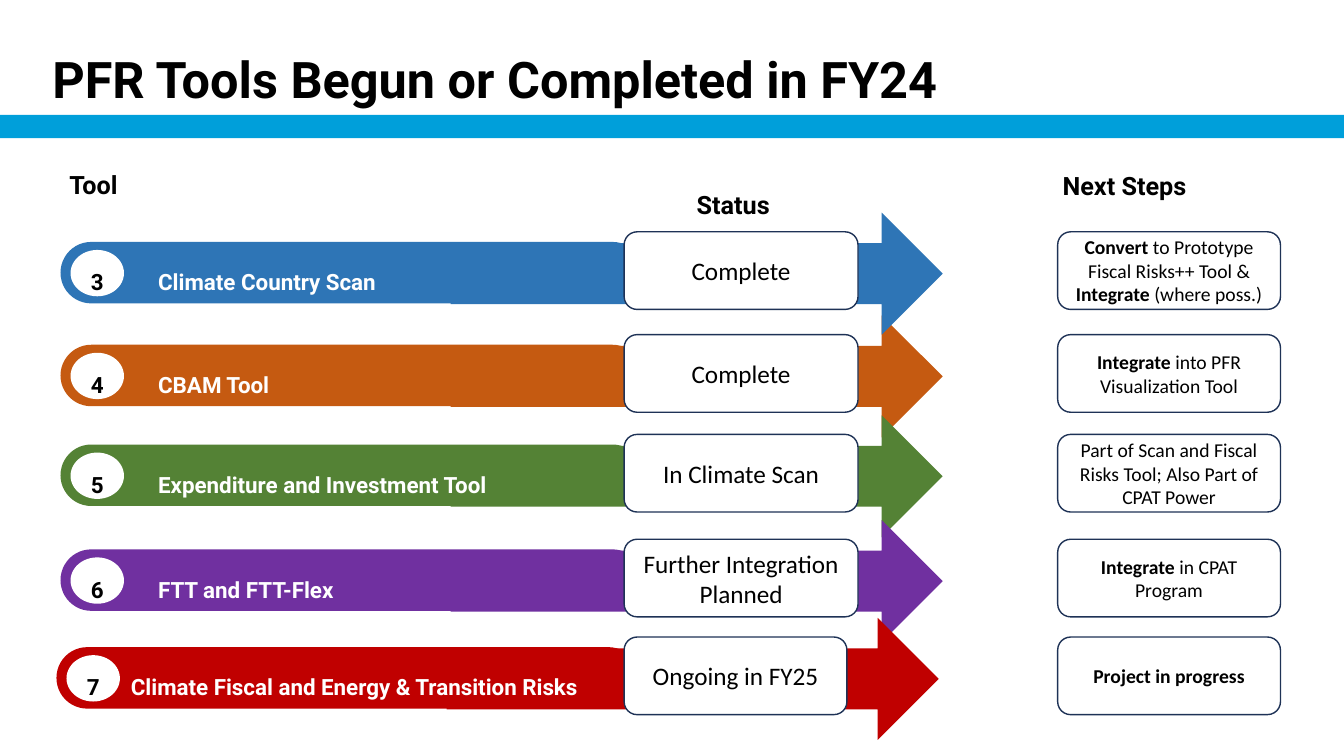
from dataclasses import dataclass

from pptx import Presentation
from pptx.dml.color import RGBColor
from pptx.enum.shapes import MSO_SHAPE
from pptx.enum.text import MSO_ANCHOR, PP_ALIGN
from pptx.util import Pt

PX = 9144


@dataclass(frozen=True)
class Theme:
    heading_font: str = "Roboto"
    box_font: str = "Calibri"
    black: str = "000000"
    white: str = "FFFFFF"
    band: str = "009FDA"
    outline: str = "1E3256"
    title_size: int = 36
    heading_size: int = 18
    tool_size: int = 16
    step_size: int = 14


@dataclass(frozen=True)
class Tool:
    number: str
    name: str
    color: str
    top: int
    status: str
    steps: tuple
    shift: int = 0
    name_left: int = 147
    status_width: int = 232


THEME = Theme()
TOOLS = [
    Tool("3", "Climate Country Scan", "2E75B6", 240, "Complete",
         (("Convert", True), (" to Prototype Fiscal Risks++ Tool & ", False),
          ("Integrate ", True), ("(where poss.)", False))),
    Tool("4", "CBAM Tool", "C55A11", 342, "Complete",
         (("Integrate", True), (" into PFR Visualization Tool", False))),
    Tool("5", "Expenditure and Investment Tool", "548235", 441, "In Climate Scan",
         (("Part of Scan and Fiscal Risks Tool; Also Part of CPAT Power", False),)),
    Tool("6", "FTT and FTT-Flex", "7030A0", 545, "Further Integration Planned",
         (("Integrate", True), (" in CPAT Program", False))),
    Tool("7", "Climate Fiscal and Energy & Transition Risks", "C00000", 642,
         "Ongoing in FY25", (("Project in progress", True),),
         shift=-4, name_left=120, status_width=221),
]


def to_emu(*lengths):
    return [length * PX for length in lengths]


def apply_format(target, values):
    for name, value in values.items():
        setattr(target, name, value)


def write_runs(paragraph, runs, font_name, size, color):
    for text, bold in runs:
        run = paragraph.add_run()
        run.text = text
        apply_format(run.font, {"name": font_name, "size": Pt(size), "bold": bold})
        run.font.color.rgb = RGBColor.from_string(color)


def add_solid(slide, kind, box, color):
    shape = slide.shapes.add_shape(kind, *to_emu(*box))
    shape.shadow.inherit = False
    shape.fill.solid()
    shape.fill.fore_color.rgb = RGBColor.from_string(color)
    shape.line.fill.background()
    return shape


def add_heading(slide, box, text, size, color=THEME.black, spacing=1.5,
                align=PP_ALIGN.LEFT, anchor=MSO_ANCHOR.TOP, inset=10):
    frame = slide.shapes.add_textbox(*to_emu(*box)).text_frame
    apply_format(frame, {"word_wrap": True, "vertical_anchor": anchor,
                         "margin_left": inset * PX})
    paragraph = frame.paragraphs[0]
    apply_format(paragraph, {"alignment": align, "line_spacing": spacing})
    write_runs(paragraph, [(text, True)], THEME.heading_font, size, color)


def add_outlined_box(slide, box, runs, size, filled):
    shape = add_solid(slide, MSO_SHAPE.ROUNDED_RECTANGLE, box, THEME.white)
    if not filled:
        shape.fill.background()
    shape.line.color.rgb = RGBColor.from_string(THEME.outline)
    shape.line.width = Pt(1)
    frame = shape.text_frame
    apply_format(frame, {"word_wrap": True, "vertical_anchor": MSO_ANCHOR.MIDDLE})
    paragraph = frame.paragraphs[0]
    paragraph.alignment = PP_ALIGN.CENTER
    write_runs(paragraph, runs, THEME.box_font, size, THEME.black)


def add_arrow(slide, tool):
    box = (447 + tool.shift, tool.top - 29, 488, 121)
    add_solid(slide, MSO_SHAPE.RIGHT_ARROW, box, tool.color)


def add_tool_row(slide, tool):
    bar_box = (60 + tool.shift, tool.top, 578, 61)
    bar = add_solid(slide, MSO_SHAPE.ROUNDED_RECTANGLE, bar_box, tool.color)
    bar.adjustments[0] = 0.5
    badge = (70 + tool.shift, tool.top + 8, 53, 46)
    add_solid(slide, MSO_SHAPE.OVAL, badge, THEME.white)
    add_heading(slide, badge, tool.number, THEME.tool_size, align=PP_ALIGN.CENTER)
    name_box = (tool.name_left, tool.top + 8, 607 - tool.name_left, 43)
    add_heading(slide, name_box, tool.name, THEME.tool_size, THEME.white)
    add_outlined_box(slide, (619, tool.top - 10, tool.status_width, 77),
                     [(tool.status, False)], THEME.heading_size, True)
    add_outlined_box(slide, (1049, tool.top - 10, 221, 77),
                     tool.steps, THEME.step_size, False)


def main():
    presentation = Presentation()
    presentation.slide_width, presentation.slide_height = to_emu(1333, 750)
    slide = presentation.slides.add_slide(presentation.slide_layouts[6])

    add_solid(slide, MSO_SHAPE.RECTANGLE, (0, 114, 1335, 23), THEME.band)
    add_heading(slide, (42, 52, 1248, 63), "PFR Tools Begun or Completed in FY24",
                THEME.title_size, spacing=0.8, anchor=MSO_ANCHOR.MIDDLE)
    add_heading(slide, (59, 166, 221, 43), "Tool", THEME.heading_size, spacing=0.9)
    add_heading(slide, (618, 168, 221, 43), "Status", THEME.heading_size, inset=73)
    add_heading(slide, (1044, 149, 221, 63), "Next Steps", THEME.heading_size)

    scan, cbam, *later_tools = TOOLS
    for tool in (cbam, scan, *later_tools):
        add_arrow(slide, tool)
    for tool in TOOLS:
        add_tool_row(slide, tool)

    presentation.save("out.pptx")


if __name__ == "__main__":
    main()
